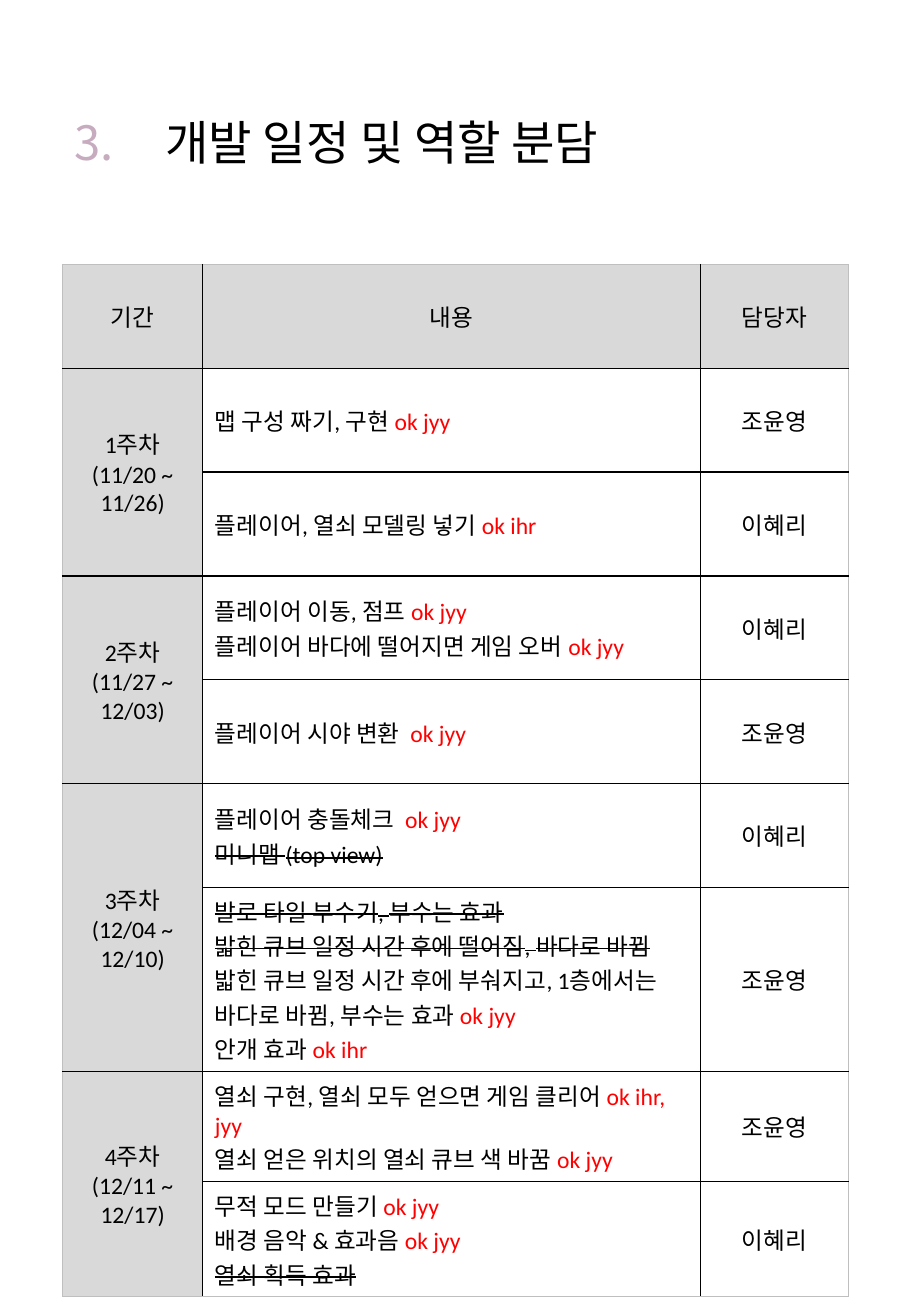
from dataclasses import dataclass

from lxml import etree
from pptx import Presentation
from pptx.dml.color import RGBColor
from pptx.enum import text as t
from pptx.oxml import ns
from pptx.util import Cm, Pt


@dataclass(frozen=True)
class Theme:
    ink: str = "000000"
    mark: str = "FF0000"
    accent: str = "C7ACC0"
    head: str = "D9D9D9"
    paper: str = "FFFFFF"
    edge: str = "BFBFBF"
    latin: str = "Calibri"
    hangul: str = "Noto Sans CJK KR"
    title: int = 28
    body: int = 14
    rule: int = 1


THEME = Theme()
HEADS = ["기간", "내용", "담당자"]
TALL = [Cm(2.17)] * 6 + [Cm(3.85), Cm(2.3), Cm(2.4)]
WEEKS = [
    ("1주차", "(11/20 ~ 11/26)", [
        ([("맵 구성 짜기, 구현 ", "ok jyy", False)], "조윤영"),
        ([("플레이어, 열쇠 모델링 넣기 ", "ok ihr", False)], "이혜리"),
    ]),
    ("2주차", "(11/27 ~ 12/03)", [
        ([("플레이어 이동, 점프 ", "ok jyy", False),
          ("플레이어 바다에 떨어지면 게임 오버 ", "ok jyy", False)], "이혜리"),
        ([("플레이어 시야 변환  ", "ok jyy", False)], "조윤영"),
    ]),
    ("3주차", "(12/04 ~ 12/10)", [
        ([("플레이어 충돌체크  ", "ok jyy", False),
          ("미니맵 (top view)", "", True)], "이혜리"),
        ([("발로 타일 부수기, 부수는 효과", "", True),
          ("밟힌 큐브 일정 시간 후에 떨어짐, 바다로 바뀜", "", True),
          ("밟힌 큐브 일정 시간 후에 부숴지고, 1층에서는 바다로 바뀜, 부수는 효과 ",
           "ok jyy", False),
          ("안개 효과 ", "ok ihr", False)], "조윤영"),
    ]),
    ("4주차", "(12/11 ~ 12/17)", [
        ([("열쇠 구현, 열쇠 모두 얻으면 게임 클리어 ", "ok ihr, jyy", False),
          ("열쇠 얻은 위치의 열쇠 큐브 색 바꿈 ", "ok jyy", False)], "조윤영"),
        ([("무적 모드 만들기 ", "ok jyy", False),
          ("배경 음악 & 효과음 ", "ok jyy", False),
          ("열쇠 획득 효과", "", True)], "이혜리"),
    ]),
]


def add_run(para, words, color, struck=False):
    run = para.add_run()
    run.text = words
    run.font.color.rgb = RGBColor.from_string(color)
    if struck:
        run._r.get_or_add_rPr().set("strike", "sngStrike")


def set_font(para, name, size):
    para.font.name = name
    para.font.size = Pt(size)


def add_title(slide, left, top, width, height):
    box = slide.shapes.add_textbox(left, top, width, height)
    frame = box.text_frame
    frame.word_wrap = True
    frame.vertical_anchor = t.MSO_ANCHOR.MIDDLE
    para = frame.paragraphs[0]
    para.line_spacing = 0.9
    set_font(para, THEME.hangul, THEME.title)
    props = para._p.get_or_add_pPr()
    props.set("marL", str(Cm(1.9)))
    props.set("indent", str(-Cm(1.9)))
    add_run(para, "3.\t", THEME.accent)
    add_run(para, "개발 일정 및 역할 분담", THEME.ink)


def add_rules(cell, outer):
    props = cell._tc.get_or_add_tcPr()
    for side in ("lnL", "lnR", "lnT", "lnB"):
        line = etree.SubElement(props, ns.qn(f"a:{side}"))
        line.set("w", str(Pt(THEME.rule)))
        fill = etree.SubElement(line, ns.qn("a:solidFill"))
        color = THEME.edge if side in outer else THEME.ink
        etree.SubElement(fill, ns.qn("a:srgbClr")).set("val", color)


def fill_cell(cell, lines, align):
    cell.vertical_anchor = t.MSO_ANCHOR.MIDDLE
    frame = cell.text_frame
    for i, (words, note, struck) in enumerate(lines):
        para = frame.add_paragraph() if i else frame.paragraphs[0]
        para.alignment = align
        set_font(para, THEME.latin, THEME.body)
        add_run(para, words, THEME.ink, struck)
        if note:
            add_run(para, note, THEME.mark)


def style_grid(grid, rows, cols):
    last = rows - len(WEEKS[-1][2])
    for r in range(rows):
        for c in range(cols):
            cell = grid.cell(r, c)
            ends = {"lnL": c == 0, "lnR": c == cols - 1, "lnT": r == 0,
                    "lnB": r >= (last if c == 0 else rows - 1)}
            add_rules(cell, [side for side, end in ends.items() if end])
            shade = THEME.head if r == 0 or c == 0 else THEME.paper
            cell.fill.solid()
            cell.fill.fore_color.rgb = RGBColor.from_string(shade)


def add_plan(slide, left, top, width):
    rows, cols = len(TALL), len(HEADS)
    grid = slide.shapes.add_table(rows, cols, left, top, width, sum(TALL)).table
    for row, size in zip(grid.rows, TALL):
        row.height = size
    sides = Cm(2.93), Cm(3.09)
    for col, size in zip(grid.columns, (sides[0], width - sum(sides), sides[1])):
        col.width = size
    style_grid(grid, rows, cols)
    mid, start = t.PP_ALIGN.CENTER, t.PP_ALIGN.LEFT
    for c, head in enumerate(HEADS):
        fill_cell(grid.cell(0, c), [(head, "", False)], mid)
    row = 1
    for week, dates, tasks in WEEKS:
        first = grid.cell(row, 0)
        first.merge(grid.cell(row + len(tasks) - 1, 0))
        fill_cell(first, [(week, "", False), (dates, "", False)], mid)
        for lines, owner in tasks:
            fill_cell(grid.cell(row, 1), lines, start)
            fill_cell(grid.cell(row, 2), [(owner, "", False)], mid)
            row += 1


def main():
    deck = Presentation()
    deck.slide_width, deck.slide_height = Cm(19.05), Cm(27.51)
    slide = deck.slides.add_slide(deck.slide_layouts[6])
    left, width = Cm(1.31), Cm(16.43)
    add_title(slide, left, Cm(1.47), width, Cm(3.12))
    add_plan(slide, left, Cm(5.53), width)
    deck.save("out.pptx")


if __name__ == "__main__":
    main()
